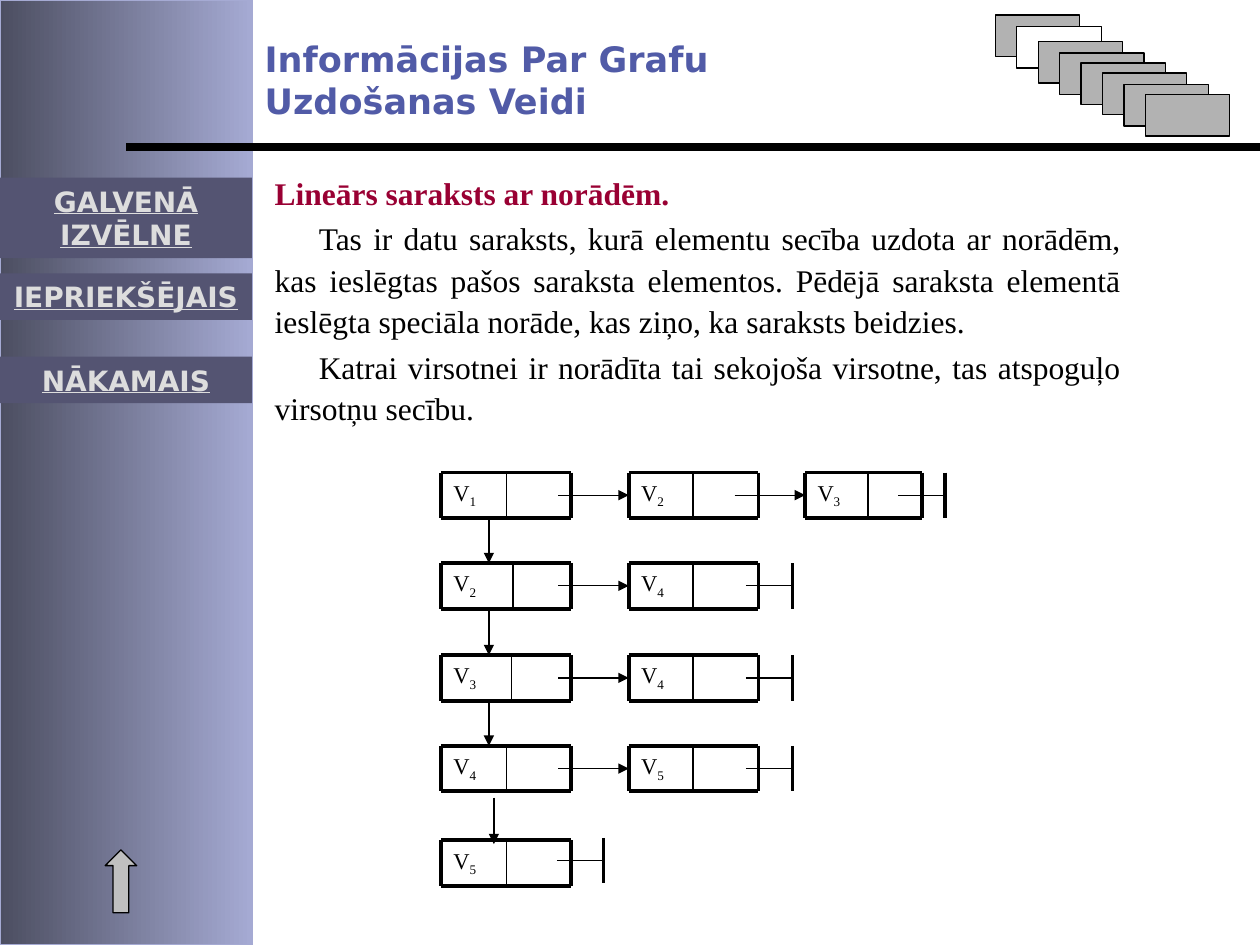
"""Build the slide on linear linked lists for describing graphs."""
import dataclasses

import pptx
import pptx.dml.color
import pptx.enum.shapes
import pptx.enum.text
import pptx.oxml
import pptx.oxml.ns
import pptx.util
from lxml import etree

Inches = pptx.util.Inches
Pt = pptx.util.Pt
RGB = pptx.dml.color.RGBColor.from_string
Align = pptx.enum.text.PP_ALIGN
Anchor = pptx.enum.text.MSO_ANCHOR
Shape = pptx.enum.shapes.MSO_SHAPE
qn = pptx.oxml.ns.qn


@dataclasses.dataclass(frozen=True)
class Theme:
    sans: str = "DejaVu Sans"
    serif: str = "Times New Roman"
    ink: str = "000000"
    paper: str = "FFFFFF"
    title: str = "515BA7"
    heading: str = "990033"
    side_dark: str = "4C4E61"
    side_light: str = "A5AAD3"
    button: str = "545472"
    button_text: str = "DDDDDD"
    card: str = "B2B2B2"
    arrow: str = "C0C0C0"
    title_size: float = 20
    body_size: float = 18
    button_size: float = 16
    node_size: float = 12.9
    thin: float = 0.75
    divider: float = 1
    thick: float = 2.25
    rule: float = 4.5


theme = Theme()


def add_line(shapes, start, end, width, arrow=False):
    line = shapes.add_connector(
        pptx.enum.shapes.MSO_CONNECTOR.STRAIGHT, *map(Inches, start + end)
    )
    line.line.color.rgb = RGB(theme.ink)
    line.line.width = Pt(width)
    properties = line._element.spPr
    if arrow:
        etree.SubElement(properties.find(qn("a:ln")), qn("a:tailEnd"), type="triangle")
    etree.SubElement(properties, qn("a:effectLst"))


def add_run(para, text, font, size, color, bold=False):
    span = para.add_run()
    span.text = text
    span.font.name = font
    span.font.size = Pt(size)
    span.font.color.rgb = RGB(color)
    span.font.bold = bold
    return span


deck = pptx.Presentation()
deck.slide_width, deck.slide_height = Inches(10), Inches(7.5)
page = deck.slides.add_slide(deck.slide_layouts[1])
title, body = page.placeholders

for box, place in ((title, (2, 0.25, 4.25, 0.77)), (body, (2.08, 1.33, 6.92, 2.11))):
    box.left, box.top, box.width, box.height = map(Inches, place)
    box.text_frame.word_wrap = True
    box.text_frame.auto_size = pptx.enum.text.MSO_AUTO_SIZE.NONE
    box.text_frame.vertical_anchor = Anchor.TOP

para = title.text_frame.paragraphs[0]
para.alignment = Align.LEFT
add_run(para, "Informācijas Par Grafu Uzdošanas Veidi",
        theme.sans, theme.title_size, theme.title, True)

body_texts = (
    ("Lineārs saraksts ar norādēm.", theme.heading, True, 0, 1, 0),
    ("Tas ir datu saraksts, kurā elementu secība uzdota ar norādēm, kas ieslēgtas "
     "pašos saraksta elementos. Pēdējā saraksta elementā ieslēgta speciāla norāde, "
     "kas ziņo, ka saraksts beidzies.", theme.ink, False, 0.35, 1.1, 2.2),
    ("Katrai virsotnei ir norādīta tai sekojoša virsotne, tas atspoguļo "
     "virsotņu secību.", theme.ink, False, 0.35, 1.1, 2.2),
)
for number, (text, color, bold, indent, spacing, before) in enumerate(body_texts):
    para = body.text_frame.add_paragraph() if number else body.text_frame.paragraphs[0]
    para.alignment = Align.JUSTIFY
    para.line_spacing = spacing
    para.space_before = Pt(before)
    settings = para._p.get_or_add_pPr()
    settings.set("marL", "0")
    settings.set("indent", str(Inches(indent)))
    etree.SubElement(settings, qn("a:buNone"))
    add_run(para, text, theme.serif, theme.body_size, color, bold)

sidebar = page.shapes.add_shape(Shape.RECTANGLE, 0, 0, Inches(2), Inches(7.5))
sidebar.shadow.inherit = False
sidebar.fill.gradient()
sidebar.fill.gradient_angle = 0
for stop, color in zip(sidebar.fill.gradient_stops, (theme.side_dark, theme.side_light)):
    stop.color.rgb = RGB(color)
sidebar.line.color.rgb = RGB(theme.side_light)
sidebar.line.width = Pt(theme.thin)

add_line(page.shapes, (10, 1.17), (1, 1.17), theme.rule)

cell_height = 0.36
link_length, stub_length = 0.56, 0.37
rows = (
    (3.75, ((3.5, 1.03, 0.52, 1), (4.99, 1.03, 0.51, 2), (6.39, 0.93, 0.5, 3)), 7.5, 3.75),
    (4.47, ((3.5, 1.03, 0.57, 2), (4.99, 1.03, 0.51, 4)), 6.29, 4.47),
    (5.2, ((3.5, 1.03, 0.56, 3), (4.99, 1.03, 0.51, 4)), 6.29, 5.2),
    (5.92, ((3.5, 1.03, 0.52, 4), (4.99, 1.03, 0.51, 5)), 6.29, 5.92),
    (6.67, ((3.5, 1.03, 0.52, 5),), 4.79, 6.65),
)
for top, cells, end_x, end_top in rows:
    bottom = top + cell_height
    for position, (left, width, split, index) in enumerate(cells):
        cell = page.shapes.add_group_shape().shapes
        box = cell.add_textbox(*map(Inches, (left, top, split, cell_height)))
        box.text_frame.word_wrap = True
        para = box.text_frame.paragraphs[0]
        add_run(para, "V", theme.serif, theme.node_size, theme.ink)
        subscript = add_run(para, str(index), theme.serif, theme.node_size, theme.ink)
        subscript.font._element.set("baseline", "-25000")
        for y in (top, bottom):
            add_line(cell, (left, y), (left + width, y), theme.thick)
        for x, weight in ((left, theme.thick), (left + split, theme.divider),
                          (left + width, theme.thick)):
            add_line(cell, (x, top), (x, bottom), weight)
        if position:
            middle = top + cell_height / 2
            add_line(page.shapes, (left - link_length, middle), (left, middle),
                     theme.thin, True)
    middle = end_top + cell_height / 2
    add_line(page.shapes, (end_x, end_top), (end_x, end_top + cell_height), theme.thick)
    add_line(page.shapes, (end_x - stub_length, middle), (end_x, middle), theme.thin)

for x, start, end in ((3.88, 4.11, 4.47), (3.88, 4.84, 5.2), (3.88, 5.56, 5.92),
                      (3.92, 6.33, 6.7)):
    add_line(page.shapes, (x, start), (x, end), theme.thin, True)

up_arrow = page.shapes.add_shape(
    Shape.RIGHT_ARROW, Inches(0.71), Inches(6.87), Inches(0.5), Inches(0.25)
)
up_arrow.rotation = 270
up_arrow.shadow.inherit = False
up_arrow.fill.solid()
up_arrow.fill.fore_color.rgb = RGB(theme.arrow)
up_arrow.line.color.rgb = RGB(theme.ink)
up_arrow.line.width = Pt(theme.thin)

buttons = (
    ("GALVENĀ IZVĒLNE", 1.41, 0.64, 0.1),
    ("IEPRIEKŠĒJAIS", 2.17, 0.37, 0),
    ("NĀKAMAIS", 2.83, 0.37, 0.1),
)
for label, top, height, margin in buttons:
    button = page.shapes.add_shape(
        Shape.RECTANGLE, 0, Inches(top), Inches(2), Inches(height)
    )
    button.shadow.inherit = False
    button.fill.solid()
    button.fill.fore_color.rgb = RGB(theme.button)
    button.line.fill.background()
    frame = button.text_frame
    frame.word_wrap = True
    frame.vertical_anchor = Anchor.MIDDLE
    frame.margin_left = frame.margin_right = Inches(margin)
    para = frame.paragraphs[0]
    para.alignment = Align.CENTER
    span = add_run(para, label, theme.sans, theme.button_size, theme.button_text, True)
    span.font.underline = True

cards = page.shapes.add_group_shape().shapes
for number, top in enumerate((0.12, 0.21, 0.33, 0.42, 0.5, 0.58, 0.67, 0.75)):
    card = cards.add_shape(
        Shape.RECTANGLE, Inches(7.9 + 0.17 * number), Inches(top), Inches(0.67), Inches(0.33)
    )
    card.shadow.inherit = False
    card.fill.solid()
    card.fill.fore_color.rgb = RGB(theme.paper if number == 1 else theme.card)
    card.line.color.rgb = RGB(theme.ink)
    card.line.width = Pt(theme.thin)

deck.save("out.pptx")
